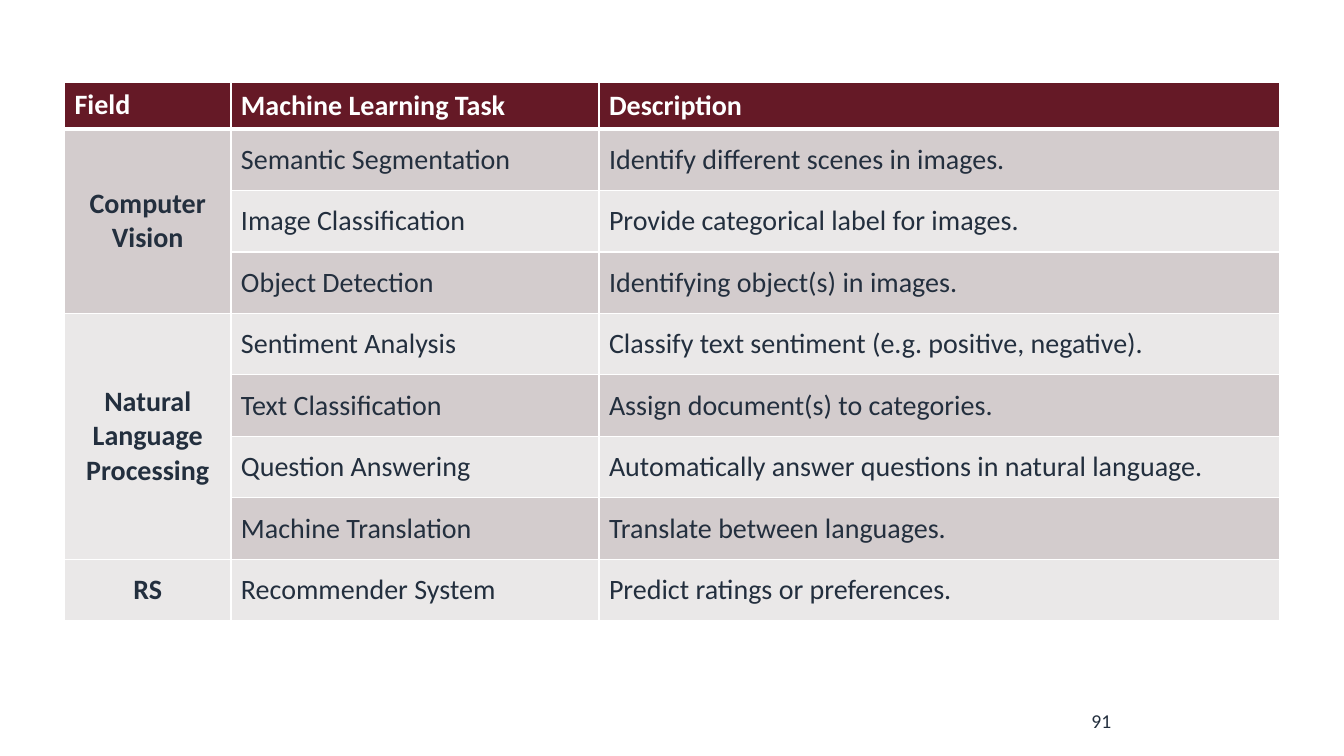
from lxml import etree
from pptx import Presentation
from pptx.dml.color import RGBColor
from pptx.enum import text as t
from pptx.oxml import ns
from pptx.util import Inches, Pt

WHITE = RGBColor(0xFF, 0xFF, 0xFF)
INK = RGBColor(0x23, 0x2F, 0x3E)
WINE = RGBColor(0x65, 0x19, 0x26)
ROSE = RGBColor(0xD3, 0xCC, 0xCD)
PALE = RGBColor(0xEA, 0xE8, 0xE8)

HEAD = ("Field", "Machine Learning Task", "Description")
FIELDS = {
    "Computer Vision": [
        ("Semantic Segmentation", "Identify different scenes in images."),
        ("Image Classification", "Provide categorical label for images."),
        ("Object Detection", "Identifying object(s) in images."),
    ],
    "Natural Language Processing": [
        ("Sentiment Analysis", "Classify text sentiment (e.g. positive, negative)."),
        ("Text Classification", "Assign document(s) to categories."),
        ("Question Answering", "Automatically answer questions in natural language."),
        ("Machine Translation", "Translate between languages."),
    ],
    "RS": [("Recommender System", "Predict ratings or preferences.")],
}
WIDTHS = (1.65, 3.65, 6.75)
HEAD_H, ROW_H = 0.46, 0.61


def write(frame, words, size=20, color=INK, bold=False, align=t.PP_ALIGN.LEFT):
    para = frame.paragraphs[0]
    para.alignment = align
    run = para.add_run()
    run.text = words
    font = run.font
    font.name = "Calibri"
    font.size = Pt(size)
    font.bold = bold
    font.color.rgb = color


def border(cell, top=1, bottom=1):
    props = cell._tc.get_or_add_tcPr()
    for side, width in (("L", 1), ("R", 1), ("T", top), ("B", bottom)):
        line = etree.SubElement(props, ns.qn(f"a:ln{side}"), w=str(Pt(width)))
        fill = etree.SubElement(line, ns.qn("a:solidFill"))
        etree.SubElement(fill, ns.qn("a:srgbClr"), val=str(WHITE))


def paint(cell, color, **edges):
    border(cell, **edges)
    cell.fill.solid()
    cell.fill.fore_color.rgb = color
    cell.vertical_anchor = t.MSO_ANCHOR.MIDDLE


def add_tasks(slide):
    count = 1 + sum(len(tasks) for tasks in FIELDS.values())
    high = HEAD_H + ROW_H * (count - 1)
    grid = slide.shapes.add_table(count, len(WIDTHS), Inches(0.64), Inches(0.82),
                                  Inches(sum(WIDTHS)), Inches(high)).table
    for col, width in zip(grid.columns, WIDTHS):
        col.width = Inches(width)
    for i, row in enumerate(grid.rows):
        row.height = Inches(ROW_H if i else HEAD_H)
        for cell in row.cells:
            if i == 0:
                paint(cell, WINE, bottom=3)
            else:
                paint(cell, ROSE if i % 2 else PALE, top=3 if i == 1 else 1)
    for j, words in enumerate(HEAD):
        write(grid.cell(0, j).text_frame, words, color=WHITE, bold=True)
    grid.cell(0, 0).vertical_anchor = t.MSO_ANCHOR.TOP
    first = 1
    for field, tasks in FIELDS.items():
        cell = grid.cell(first, 0)
        if len(tasks) > 1:
            cell.merge(grid.cell(first + len(tasks) - 1, 0))
        write(cell.text_frame, field, bold=True, align=t.PP_ALIGN.CENTER)
        for i, task in enumerate(tasks, first):
            for j, words in enumerate(task, 1):
                write(grid.cell(i, j).text_frame, words)
        first += len(tasks)


def add_number(slide, words):
    box = slide.shapes.add_textbox(Inches(8.12), Inches(6.95), Inches(3), Inches(0.4))
    frame = box.text_frame
    frame.word_wrap = True
    frame.vertical_anchor = t.MSO_ANCHOR.MIDDLE
    write(frame, words, size=14, align=t.PP_ALIGN.RIGHT)


def main():
    deck = Presentation()
    deck.slide_width = Inches(13.33)
    deck.slide_height = Inches(7.5)
    slide = deck.slides.add_slide(deck.slide_layouts[6])
    add_number(slide, "91")
    add_tasks(slide)
    deck.save("out.pptx")


if __name__ == "__main__":
    main()
